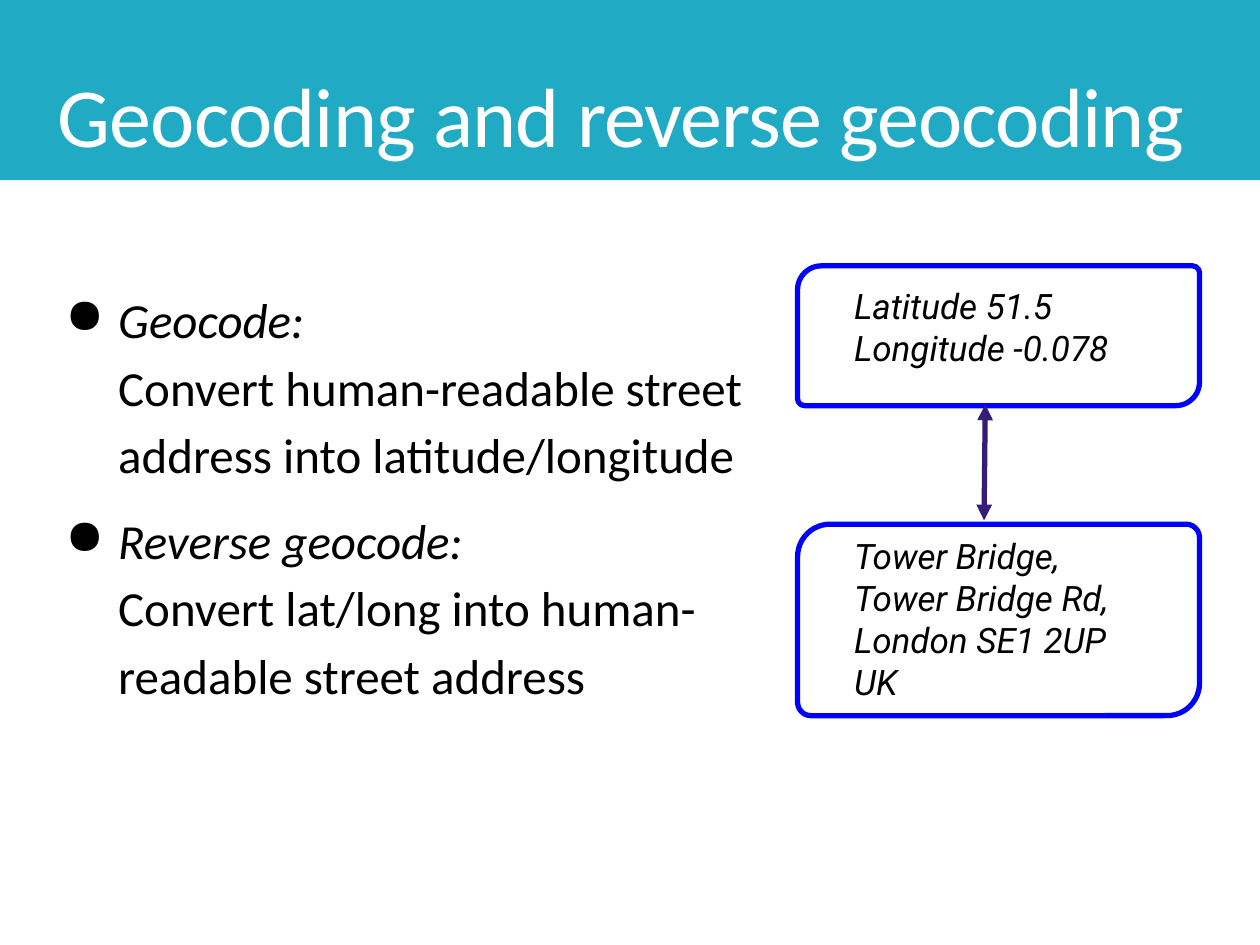
from lxml import etree
from pptx import Presentation
from pptx.dml.color import RGBColor
from pptx.enum import shapes, text
from pptx.oxml import ns
from pptx.util import Inches, Pt

TEAL = RGBColor(0x21, 0xAA, 0xC3)
BLUE = RGBColor(0x00, 0x00, 0xFF)
PURPLE = RGBColor(0x35, 0x1C, 0x75)
BLACK = RGBColor(0x00, 0x00, 0x00)
WHITE = RGBColor(0xFF, 0xFF, 0xFF)

TITLE_FONT = {"name": "Calibri", "size": Pt(48)}
BODY_FONT = {"name": "Calibri", "size": Pt(28)}
LABEL_FONT = {"name": "Roboto", "size": Pt(20), "italic": True}

DEFINITIONS = [
    ("Geocode:", "Convert human-readable street address into latitude/longitude"),
    ("Reverse geocode:", "Convert lat/long into human-readable street address"),
]
COORDINATES = ["Latitude 51.5", "Longitude -0.078"]
ADDRESS = ["Tower Bridge,\vTower Bridge Rd, London SE1 2UP", "UK"]


def set_font(font, color, formats):
    for name, value in formats.items():
        setattr(font, name, value)
    font.color.rgb = color


def add_text_frame(slide, left, top, width, height):
    box = slide.shapes.add_textbox(
        Inches(left), Inches(top), Inches(width), Inches(height))
    frame = box.text_frame
    formats = {"word_wrap": True, "vertical_anchor": text.MSO_ANCHOR.TOP}
    for side in ("left", "top", "right", "bottom"):
        formats[f"margin_{side}"] = Inches(0.1)
    for name, value in formats.items():
        setattr(frame, name, value)
    return frame


def add_paragraph(frame, index):
    return frame.add_paragraph() if index else frame.paragraphs[0]


def add_bullet(paragraph):
    properties = paragraph._p.get_or_add_pPr()
    properties.set("marL", str(Inches(0.5)))
    properties.set("indent", str(Inches(-0.42)))
    color = etree.SubElement(properties, ns.qn("a:buClr"))
    etree.SubElement(color, ns.qn("a:srgbClr"), val=str(BLACK))
    etree.SubElement(properties, ns.qn("a:buChar"), char="●")


def add_header(slide, left, top, width, height):
    band = slide.shapes.add_shape(
        shapes.MSO_SHAPE.RECTANGLE,
        Inches(left), Inches(top), Inches(width), Inches(height))
    band.shadow.inherit = False
    band.fill.solid()
    band.fill.fore_color.rgb = TEAL
    band.line.fill.background()

    frame = add_text_frame(slide, left + 0.37, top + 0.59, 9.32, 0.63)
    paragraph = frame.paragraphs[0]
    paragraph.line_spacing = 0.85
    run = paragraph.add_run()
    run.text = "Geocoding and reverse geocoding"
    set_font(run.font, WHITE, TITLE_FONT)
    run._r.get_or_add_rPr().set("spc", "-50")


def add_definitions(slide, left, top, width, height):
    frame = add_text_frame(slide, left, top, width, height)
    for index, (term, meaning) in enumerate(DEFINITIONS):
        paragraph = add_paragraph(frame, index)
        add_bullet(paragraph)
        paragraph.line_spacing = 1.15
        if index:
            paragraph.space_before = Pt(10)
        for words, italic in ((term, True), (meaning, False)):
            if not italic:
                paragraph.add_line_break()
            run = paragraph.add_run()
            run.text = words
            set_font(run.font, BLACK, {**BODY_FONT, "italic": italic})


def add_card(slide, left, top, width, height, corner):
    card = slide.shapes.add_shape(
        shapes.MSO_SHAPE.ROUND_2_DIAG_RECTANGLE,
        Inches(left), Inches(top), Inches(width), Inches(height))
    card.shadow.inherit = False
    card.adjustments[0] = 0.17
    card.adjustments[1] = corner
    card.fill.solid()
    card.fill.fore_color.rgb = WHITE
    card.line.color.rgb = BLUE
    card.line.width = Pt(3)


def add_label(slide, left, top, width, height, lines):
    frame = add_text_frame(slide, left, top, width, height)
    for index, line in enumerate(lines):
        paragraph = add_paragraph(frame, index)
        paragraph.text = line
        for run in paragraph.runs:
            set_font(run.font, BLACK, LABEL_FONT)


def add_double_arrow(slide, start_x, start_y, end_x, end_y):
    arrow = slide.shapes.add_connector(
        shapes.MSO_CONNECTOR.STRAIGHT,
        Inches(start_x), Inches(start_y), Inches(end_x), Inches(end_y))
    arrow.line.color.rgb = PURPLE
    arrow.line.width = Pt(3)
    line = arrow.line._get_or_add_ln()
    for end in ("a:headEnd", "a:tailEnd"):
        etree.SubElement(line, ns.qn(end), type="triangle")
    etree.SubElement(arrow._element.spPr, ns.qn("a:effectLst"))


def add_example(slide, left, top):
    """Coordinates above, address below, joined by a two-way arrow."""
    add_card(slide, left, top, 3.19, 1.11, 0.05)
    add_card(slide, left, top + 2.05, 3.19, 1.52, 0.07)
    add_label(slide, left + 0.35, top + 2.03, 3.01, 1.64, ADDRESS)
    add_label(slide, left + 0.35, top + 0.05, 2.79, 0.92, COORDINATES)
    add_double_arrow(slide, left + 1.49, top + 1.1, left + 1.48, top + 2.02)


def main():
    presentation = Presentation()
    presentation.slide_width = Inches(10)
    presentation.slide_height = Inches(7.5)
    slide = presentation.slides.add_slide(presentation.slide_layouts[6])
    add_header(slide, -0.01, -0.06, 10.01, 1.49)
    add_definitions(slide, 0.34, 2.13, 5.84, 3.79)
    add_example(slide, 6.33, 2.11)
    presentation.save("out.pptx")


if __name__ == "__main__":
    main()
